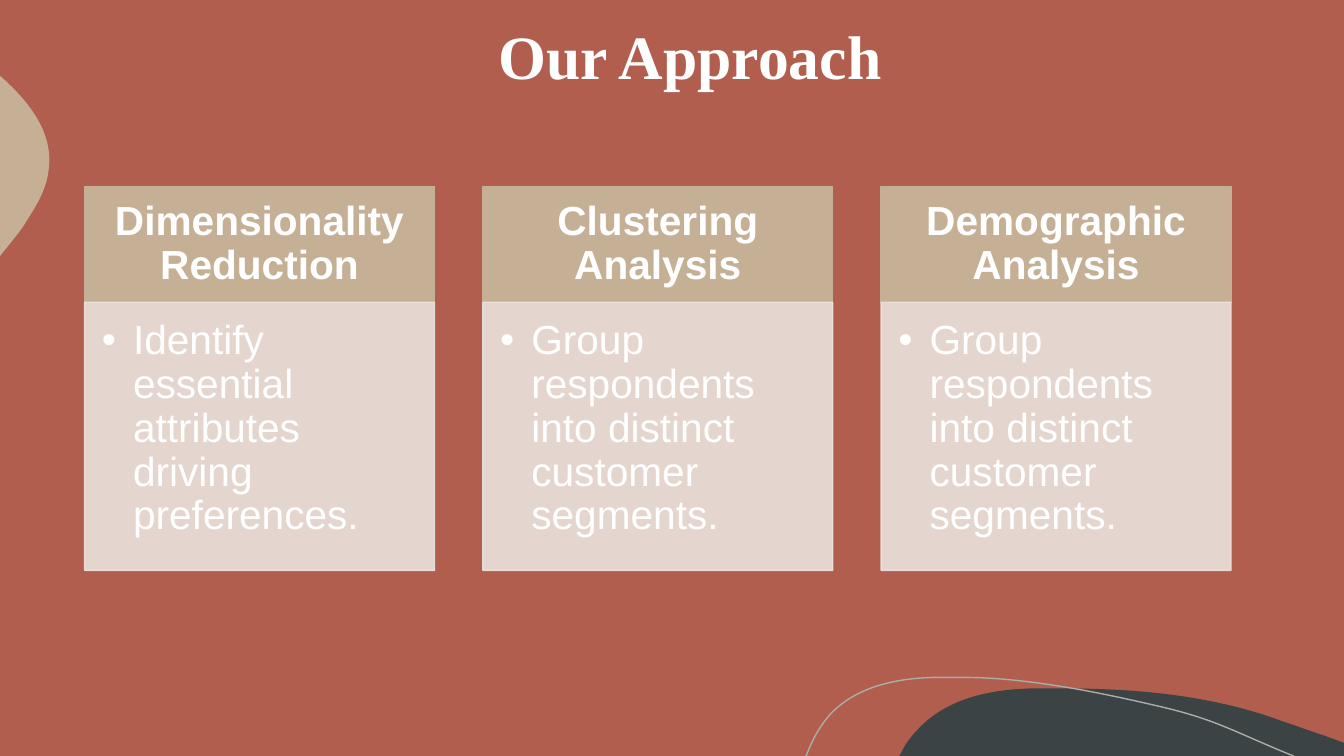
from dataclasses import dataclass

from lxml.etree import SubElement
from pptx import Presentation
from pptx.dml.color import RGBColor
from pptx.enum.shapes import MSO_SHAPE
from pptx.enum.text import MSO_ANCHOR, MSO_AUTO_SIZE, PP_ALIGN
from pptx.oxml.ns import qn
from pptx.util import Pt

PX = 9144


@dataclass(frozen=True)
class Theme:
    background: str = "B15E4E"
    sand: str = "C5B096"
    panel: str = "EAE4DD"
    slate: str = "3B4345"
    outline: str = "A9AEA7"
    text: str = "FFFFFF"
    title_font: str = "Times New Roman"
    body_font: str = "Arial"
    title_size: int = 44
    body_size: int = 29
    line_width: int = 1
    panel_alpha: int = 90


THEME = Theme()

CARDS = [
    ("Dimensionality Reduction", "Identify essential attributes driving preferences."),
    ("Clustering Analysis", "Group respondents into distinct customer segments."),
    ("Demographic Analysis", "Group respondents into distinct customer segments."),
]

SLATE_HILL = [
    (162, 0), (236, 0, 312, 7, 381, 33), (394, 37, 406, 42, 419, 46),
    (441, 54), (441, 67), (0, 67), (6, 56), (10, 50, 14, 45, 19, 40),
    (47, 10, 90, 1, 131, 0), (141, 0, 151, 0, 162, 0),
]
SAND_BULGE = [
    (0, 0), (1, 1), (30, 27, 54, 58, 48, 95), (46, 112, 37, 128, 27, 143),
    (24, 149, 17, 158, 8, 169), (0, 179),
]
THIN_WAVE = [
    (0, 78), (1, 77), (7, 61, 15, 47, 25, 36), (51, 9, 90, 1, 127, 0),
    (156, 0), (223, 0, 301, 17, 356, 30), (410, 43, 427, 55, 484, 78),
]


def rgb(color):
    return RGBColor.from_string(color)


def emu(*lengths):
    return [length * PX for length in lengths]


def bend(sp, segments):
    lines = list(sp._element.spPr.iter(qn("a:lnTo")))
    for line, segment in zip(lines, segments[1:]):
        if len(segment) == 6:
            line.tag = qn("a:cubicBezTo")
            for i, (x, y) in enumerate((segment[:2], segment[2:4])):
                pt = SubElement(line, qn("a:pt"), x=str(x), y=str(y))
                line.insert(i, pt)


def add_curve(s, left, top, segments, fill=None, line=None):
    builder = s.shapes.build_freeform(*segments[0], scale=PX)
    builder.add_line_segments([seg[-2:] for seg in segments[1:]], close=fill is not None)
    sp = builder.convert_to_shape(*emu(left, top))
    bend(sp, segments)
    sp.shadow.inherit = False
    if fill:
        sp.fill.solid()
        sp.fill.fore_color.rgb = rgb(fill)
    else:
        sp.fill.background()
    if line:
        sp.line.color.rgb = rgb(line)
        sp.line.width = Pt(THEME.line_width)
    else:
        sp.line.fill.background()


def write(tf, text, font, size, align, anchor, bold=False):
    tf.word_wrap = True
    tf.vertical_anchor = anchor
    tf.text = text
    p = tf.paragraphs[0]
    p.alignment = align
    r = p.runs[0]
    r.font.name = font
    r.font.size = Pt(size)
    r.font.bold = bold
    r.font.color.rgb = rgb(THEME.text)
    return p


def add_block(s, box, color, insets, text, align, anchor, bold=False):
    sp = s.shapes.add_shape(MSO_SHAPE.RECTANGLE, *emu(*box))
    sp.shadow.inherit = False
    sp.fill.solid()
    sp.fill.fore_color.rgb = rgb(color)
    sp.line.color.rgb = rgb(color)
    sp.line.width = Pt(THEME.line_width)
    tf = sp.text_frame
    tf.margin_left, tf.margin_top, tf.margin_right, tf.margin_bottom = emu(*insets)
    p = write(tf, text, THEME.body_font, THEME.body_size, align, anchor, bold)
    p.line_spacing = 0.9
    return sp, p


def add_bullet(p, indent):
    pPr = p._p.get_or_add_pPr()
    pPr.set("marL", str(indent * PX))
    pPr.set("indent", str(-indent * PX))
    SubElement(pPr, qn("a:buFont"), typeface=THEME.body_font)
    SubElement(pPr, qn("a:buChar"), char="•")


def set_alpha(sp, percent):
    for clr in list(sp._element.spPr.iter(qn("a:srgbClr"))):
        SubElement(clr, qn("a:alpha"), val=str(percent * 1000))


def add_card(s, left, top, width, height, heading, detail):
    head = 115
    add_block(s, (left, top, width, head), THEME.sand, (23, 13, 23, 13),
              heading, PP_ALIGN.CENTER, MSO_ANCHOR.MIDDLE, bold=True)
    panel, p = add_block(s, (left, top + head, width, height - head), THEME.panel,
                         (17, 17, 23, 25), detail, PP_ALIGN.LEFT, MSO_ANCHOR.TOP)
    set_alpha(panel, THEME.panel_alpha)
    add_bullet(p, 31)


def add_cards(s, left, top, width, height, gap=48):
    card_width = (width - gap * (len(CARDS) - 1)) // len(CARDS)
    for i, (heading, detail) in enumerate(CARDS):
        add_card(s, left + i * (card_width + gap), top, card_width, height, heading, detail)


def add_title(s, left, top, width, height, text):
    tb = s.shapes.add_textbox(*emu(left, top, width, height))
    write(tb.text_frame, text, THEME.title_font, THEME.title_size,
          PP_ALIGN.CENTER, MSO_ANCHOR.TOP, bold=True)
    tb.text_frame.auto_size = MSO_AUTO_SIZE.SHAPE_TO_FIT_TEXT


def add_backdrop(s):
    s.background.fill.solid()
    s.background.fill.fore_color.rgb = rgb(THEME.background)
    add_curve(s, 892, 683, SLATE_HILL, fill=THEME.slate)
    add_curve(s, 0, 75, SAND_BULGE, fill=THEME.sand)
    add_curve(s, 799, 672, THIN_WAVE, line=THEME.outline)


def main():
    prs = Presentation()
    prs.slide_width, prs.slide_height = emu(1333, 750)
    s = prs.slides.add_slide(prs.slide_layouts[6])
    add_backdrop(s)
    add_cards(s, 84, 185, 1137, 381)
    add_title(s, 451, 13, 467, 84, "Our Approach")
    prs.save("out.pptx")


if __name__ == "__main__":
    main()
